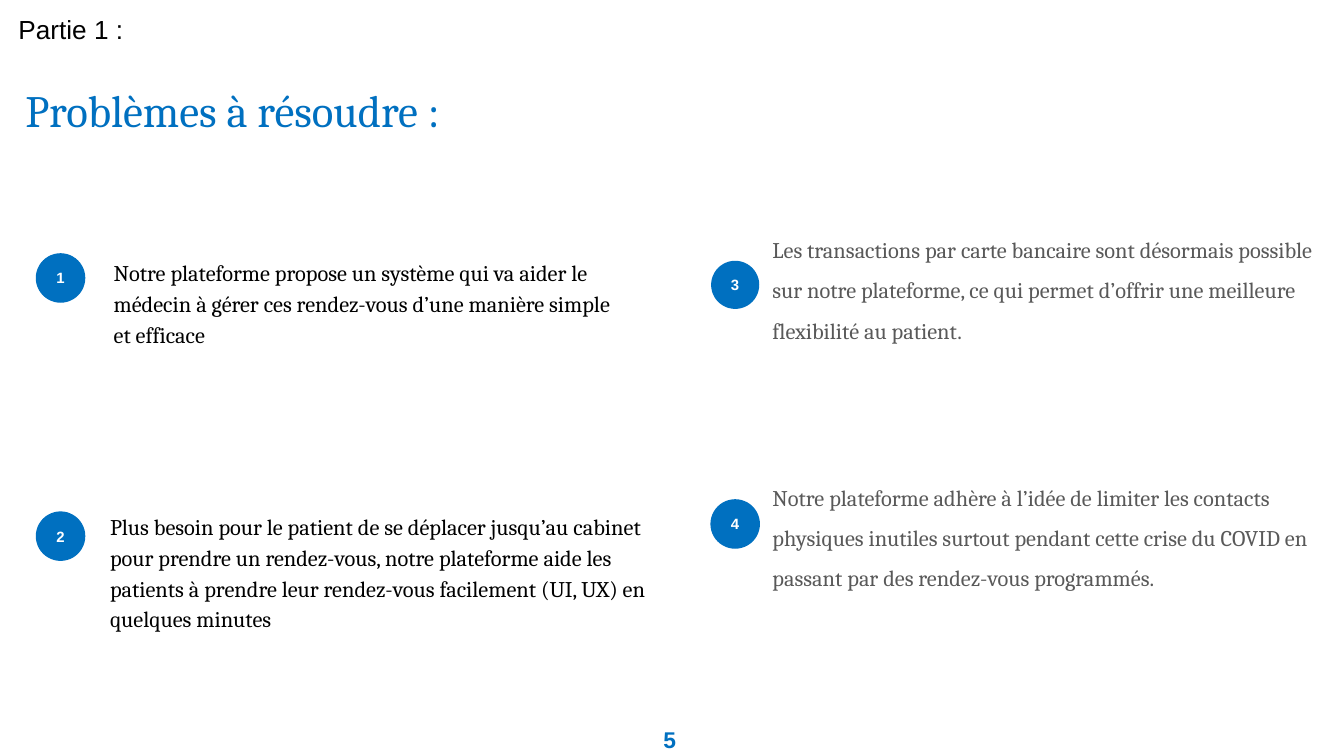
from dataclasses import dataclass

from pptx import Presentation
from pptx.dml.color import RGBColor
from pptx.enum.shapes import MSO_SHAPE
from pptx.enum.text import MSO_ANCHOR, PP_ALIGN
from pptx.util import Cm, Pt

BLUE, BLACK, GREY, WHITE = "0070C0", "000000", "595959", "FFFFFF"
INSET = 0.25
MARKER_SIZE = 0.91


@dataclass
class BodyStyle:
    color: str
    line_spacing: float
    before: float
    after: float


LEFT_STYLE = BodyStyle(BLACK, 1.15, 0, 16)
RIGHT_STYLE = BodyStyle(GREY, 1.5, 10, 0)

# box (left, top, width, height), text indent, marker drop, marker outlined, style, wording
PROBLEMS = [
    ((0.69, 4.57, 11.24, 2.01), 1.21, 0.23, True, LEFT_STYLE,
     "Notre plateforme propose un système qui va aider le médecin à gérer ces "
     "rendez-vous d’une manière simple et efficace"),
    ((0.69, 9.37, 12.32, 2.01), 1.14, 0.31, True, LEFT_STYLE,
     "Plus besoin pour le patient de se déplacer jusqu’au cabinet pour prendre un "
     "rendez-vous, notre plateforme aide les patients à prendre leur rendez-vous "
     "facilement (UI, UX) en quelques minutes"),
    ((13.44, 3.96, 11.96, 4.09), 0.91, 0.97, False, RIGHT_STYLE,
     "Les transactions par carte bancaire sont désormais possible sur notre "
     "plateforme, ce qui permet d’offrir une meilleure flexibilité au patient."),
    ((13.44, 8.64, 11.96, 4.09), 0.91, 0.81, True, RIGHT_STYLE,
     "Notre plateforme adhère à l’idée de limiter les contacts physiques inutiles "
     "surtout pendant cette crise du COVID en passant par des rendez-vous programmés."),
]


def rgb(hex_color):
    return RGBColor.from_string(hex_color)


def write(shape, text, font_name, size, color, bold=False):
    """Fill the shape with one formatted paragraph and return it."""
    frame = shape.text_frame
    frame.word_wrap = True
    frame.margin_left = frame.margin_right = Cm(INSET)
    frame.margin_top = frame.margin_bottom = Cm(INSET)
    paragraph = frame.paragraphs[0]
    paragraph.text = text
    font = paragraph.font
    font.name, font.size, font.bold = font_name, Pt(size), bold
    font.color.rgb = rgb(color)
    return paragraph


def add_text(slide, box, *text_format, **options):
    textbox = slide.shapes.add_textbox(*map(Cm, box))
    return write(textbox, *text_format, **options)


def add_marker(slide, left, top, number, outlined):
    marker = slide.shapes.add_shape(
        MSO_SHAPE.OVAL, Cm(left), Cm(top), Cm(MARKER_SIZE), Cm(MARKER_SIZE))
    marker.shadow.inherit = False
    marker.fill.solid()
    marker.fill.fore_color.rgb = rgb(BLUE)
    if outlined:
        marker.line.color.rgb = rgb(BLUE)
        marker.line.width = Pt(0.75)
    else:
        marker.line.fill.background()
    digit = write(marker, str(number), "Arial", 8, WHITE, bold=True)
    digit.alignment = PP_ALIGN.CENTER
    marker.text_frame.vertical_anchor = MSO_ANCHOR.MIDDLE
    marker.text_frame.word_wrap = False


def add_problem(slide, number, box, indent, drop, outlined, style, wording):
    left, top, width, height = box
    add_marker(slide, left, top + drop, number, outlined)
    body = add_text(slide, (left + indent, top, width - indent, height),
                    wording, "Cambria", 12, style.color)
    body.line_spacing = style.line_spacing
    body.space_before = Pt(style.before)
    body.space_after = Pt(style.after)


def add_header(slide, box):
    left, top, width, height = box
    add_text(slide, (left, top, width, 1.6), "Partie 1 :", "Arial", 14, BLACK)
    add_text(slide, (left + 0.13, top + 1.32, 12.7, height - 1.32),
             "Problèmes à résoudre :", "Cambria", 24, BLUE)


def add_page_number(slide, box):
    add_text(slide, box, "5", "Arial", 12.2, BLUE, bold=True)


def main():
    presentation = Presentation()
    presentation.slide_width, presentation.slide_height = Cm(25.4), Cm(14.29)
    slide = presentation.slides.add_slide(presentation.slide_layouts[6])
    add_header(slide, (0.1, 0, 23.67, 2.82))
    for number, problem in enumerate(PROBLEMS, start=1):
        add_problem(slide, number, *problem)
    add_page_number(slide, (12.29, 13.46, 1.27, 1.12))
    presentation.save("out.pptx")


if __name__ == "__main__":
    main()
